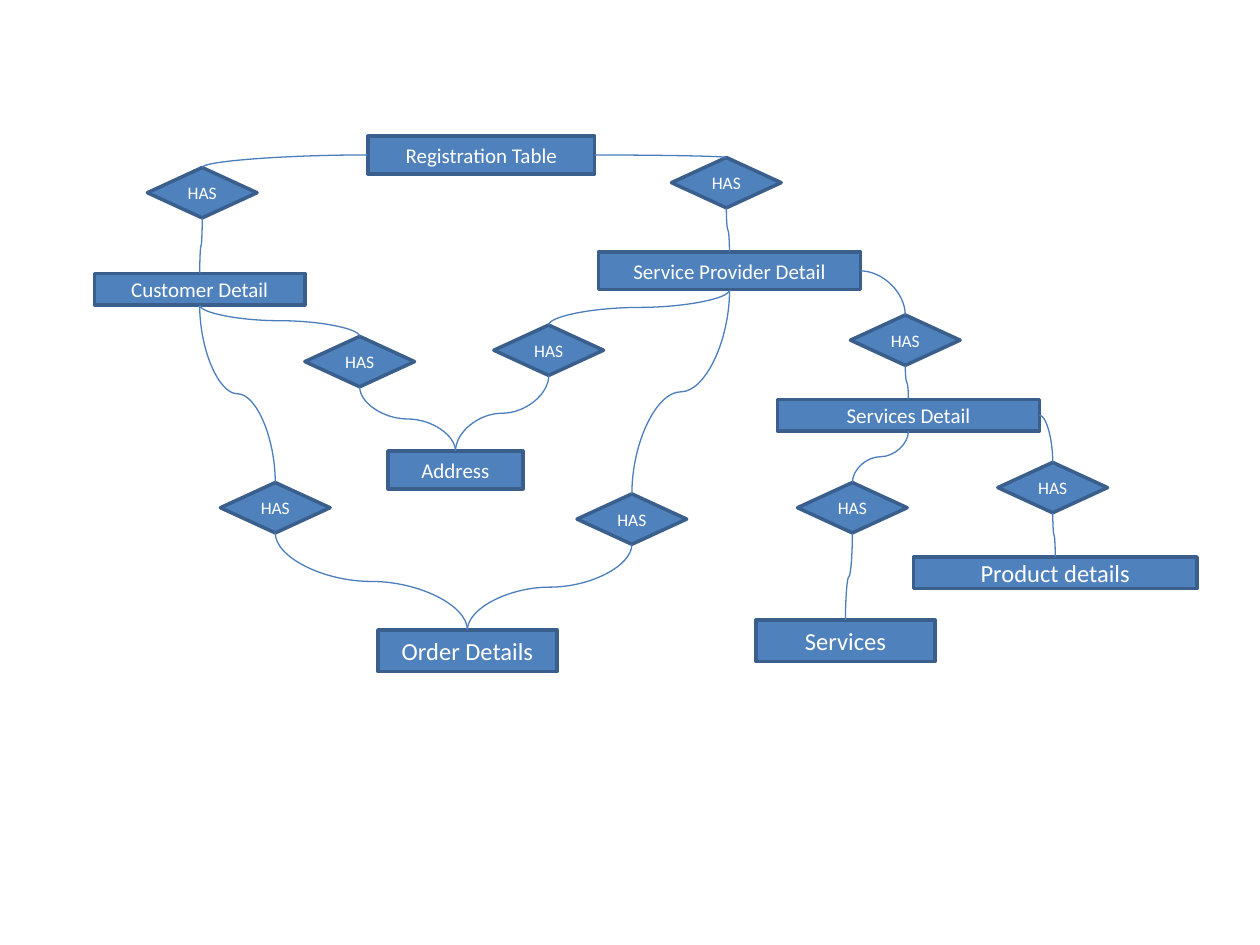
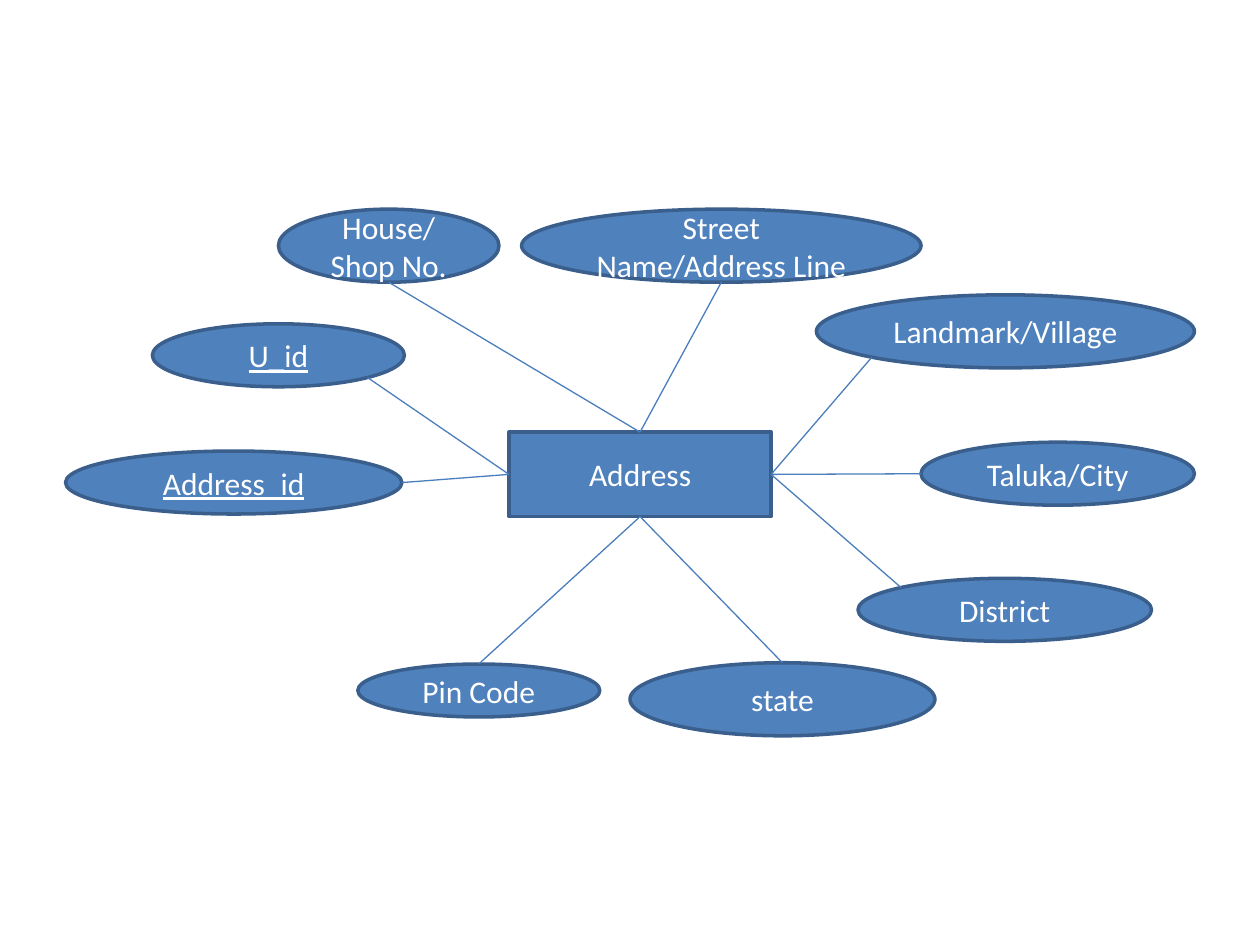
import math
import pptx
import pptx.util
import pptx.dml.color
import pptx.enum.shapes
import pptx.enum.text
import pptx.oxml
import pptx.oxml.ns
import lxml.etree

Inches = pptx.util.Inches
Pt = pptx.util.Pt
RGB = pptx.dml.color.RGBColor
KIND = pptx.enum.shapes.MSO_SHAPE
LINK = pptx.enum.shapes.MSO_CONNECTOR
qn = pptx.oxml.ns.qn

BLUE = RGB(0x4F, 0x81, 0xBD)
EDGE = RGB(0x3A, 0x5F, 0x8C)
WIRE = RGB(0x4B, 0x7E, 0xBC)
WHITE = RGB(0xFF, 0xFF, 0xFF)

TOP, LEFT, BOTTOM, RIGHT = range(4)
TURN = {KIND.RECTANGLE: 4, KIND.DIAMOND: 4, KIND.OVAL: 8}

TABLES = [
    ("Registration Table", 2.92, 1.08, 1.8, 0.3, 12),
    ("Customer Detail", 0.75, 2.17, 1.67, 0.25, 12),
    ("Service Provider Detail", 4.75, 2, 2.08, 0.3, 12),
    ("Address", 3.08, 3.58, 1.07, 0.3, 12),
    ("Services Detail", 6.17, 3.17, 2.08, 0.25, 12),
    ("Services", 6, 4.92, 1.42, 0.33, 14),
    ("Product details", 7.25, 4.42, 2.25, 0.25, 14),
    ("Order Details", 3, 5, 1.42, 0.33, 14),
]

HAS = ("HAS", 0.87, 0.4, 10)
TIES = [
    ("Registration Table", LEFT, 1.17, 1.33, "Customer Detail"),
    ("Registration Table", RIGHT, 5.33, 1.25, "Service Provider Detail"),
    ("Customer Detail", BOTTOM, 2.42, 2.67, "Address"),
    ("Customer Detail", BOTTOM, 1.75, 3.83, "Order Details"),
    ("Service Provider Detail", BOTTOM, 3.92, 2.58, "Address"),
    ("Service Provider Detail", BOTTOM, 4.58, 3.92, "Order Details"),
    ("Service Provider Detail", RIGHT, 6.75, 2.5, "Services Detail"),
    ("Services Detail", BOTTOM, 6.33, 3.83, "Services"),
    ("Services Detail", RIGHT, 7.92, 3.67, "Product details"),
]

HUB = ("Address", 4.04, 3.43, 2.08, 0.67, 18)
FIELDS = [
    ("Pin Code", 2.84, 5.27, 1.92, 0.42, 0, BOTTOM),
    ("District", 6.81, 4.59, 2.33, 0.5, 1, RIGHT),
    ("state", 5, 5.26, 2.42, 0.58, 0, BOTTOM),
    ("Landmark/Village", 6.48, 2.34, 3, 0.58, 3, RIGHT),
    ("Street Name/Address Line", 4.14, 1.66, 3.17, 0.58, 4, TOP),
    ("U_id", 1.21, 2.57, 2, 0.5, 5, LEFT),
    ("Taluka/City", 7.31, 3.51, 2.17, 0.5, 2, RIGHT),
    ("House/Shop No.", 2.21, 1.66, 1.75, 0.58, 4, TOP),
    ("Address_id", 0.52, 3.58, 2.67, 0.5, 6, LEFT),
]
KEYS = {"U_id", "Address_id"}


def add_node(page, kind, text, x, y, wide, high, size):
    node = page.shapes.add_shape(kind, *map(Inches, (x, y, wide, high)))
    node.shadow.inherit = False
    node.fill.solid()
    node.fill.fore_color.rgb = BLUE
    node.line.color.rgb = EDGE
    node.line.width = Pt(2)
    frame = node.text_frame
    frame.word_wrap = True
    frame.vertical_anchor = pptx.enum.text.MSO_ANCHOR.MIDDLE
    line = frame.paragraphs[0]
    line.alignment = pptx.enum.text.PP_ALIGN.CENTER
    run = line.add_run()
    run.text = text
    run.font.color.rgb = WHITE
    look = {"name": "Calibri", "size": Pt(size)}
    if text in KEYS:
        look["underline"] = True
    for key, value in look.items():
        setattr(run.font, key, value)
    return node


def find_site(node, site):
    angle = math.tau * site / TURN[node.auto_shape_type]
    x = node.left + node.width / 2 * (1 - math.sin(angle))
    y = node.top + node.height / 2 * (1 - math.cos(angle))
    return x, y


def add_link(page, kind, start, out, end, into):
    x1, y1 = find_site(start, out)
    x2, y2 = find_site(end, into)
    curve = kind == LINK.CURVE
    drop = curve and out == BOTTOM
    if drop:
        mid, level = (x1 + x2) / 2, (y1 + y2) / 2
        wide, high = x2 - x1, y2 - y1
        x1, x2 = mid - high / 2, mid + high / 2
        y1, y2 = level + wide / 2, level - wide / 2
    link = page.shapes.add_connector(kind, *map(round, (x1, y1, x2, y2)))
    link.line.color.rgb = WIRE
    link.line.width = Pt(0.75)
    root = link._element
    form = root.find(qn("p:spPr"))
    lxml.etree.SubElement(form, qn("a:effectLst"))
    if drop:
        form.find(qn("a:xfrm")).set("rot", str(90 * 60000))
    elif curve:
        form.find(qn("a:prstGeom")).set("prst", "curvedConnector2")
    hold = root.find(".//" + qn("p:cNvCxnSpPr"))
    for tag, node, site in (("a:stCxn", start, out), ("a:endCxn", end, into)):
        glue = lxml.etree.SubElement(hold, qn(tag))
        glue.set("id", str(node.shape_id))
        glue.set("idx", str(site))


def draw_tables(page):
    nodes = {row[0]: add_node(page, KIND.RECTANGLE, *row) for row in TABLES}
    text, wide, high, size = HAS
    for owner, side, x, y, part in TIES:
        has = add_node(page, KIND.DIAMOND, text, x, y, wide, high, size)
        add_link(page, LINK.CURVE, nodes[owner], side, has, TOP)
        add_link(page, LINK.CURVE, has, BOTTOM, nodes[part], TOP)


def draw_fields(page):
    hub = add_node(page, KIND.RECTANGLE, *HUB)
    for text, x, y, wide, high, site, side in FIELDS:
        oval = add_node(page, KIND.OVAL, text, x, y, wide, high, HUB[-1])
        add_link(page, LINK.STRAIGHT, oval, site, hub, side)


deck = pptx.Presentation()
deck.slide_width, deck.slide_height = Inches(10), Inches(7.5)
for draw in (draw_tables, draw_fields):
    draw(deck.slides.add_slide(deck.slide_layouts[6]))
deck.save("out.pptx")
